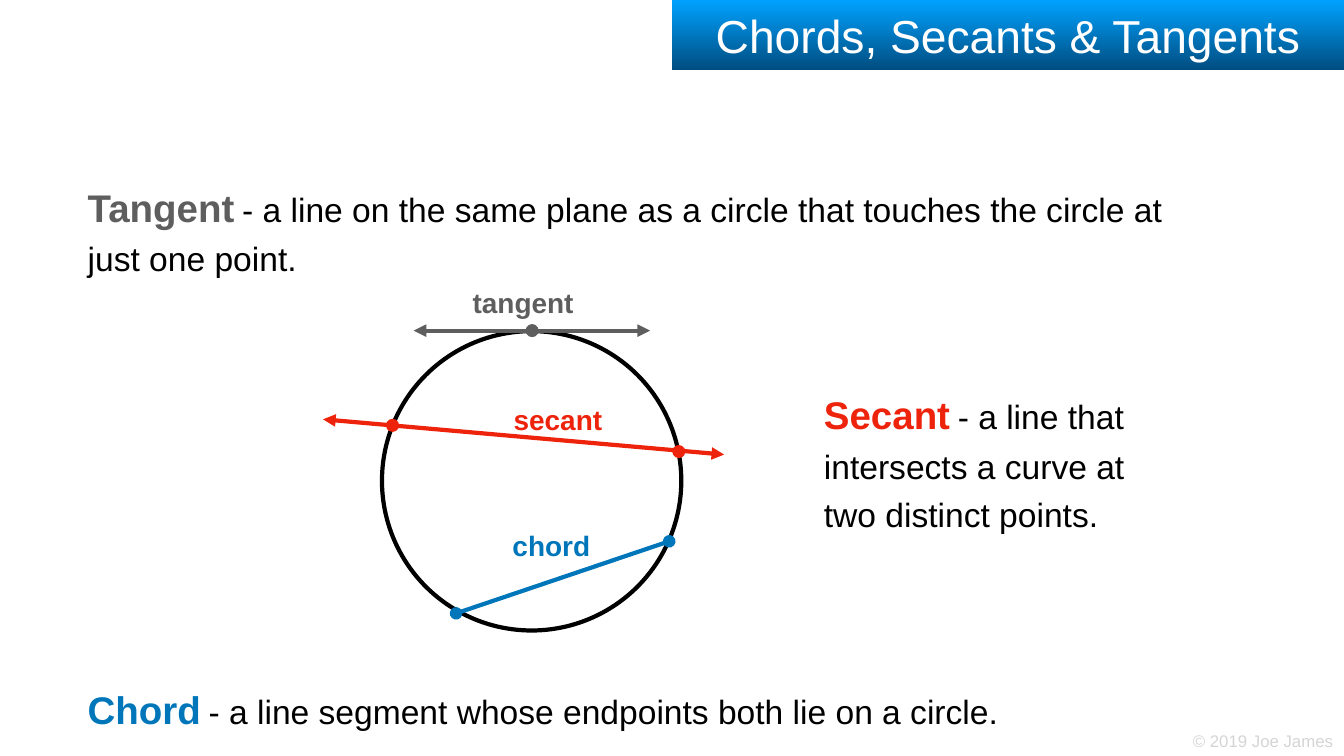
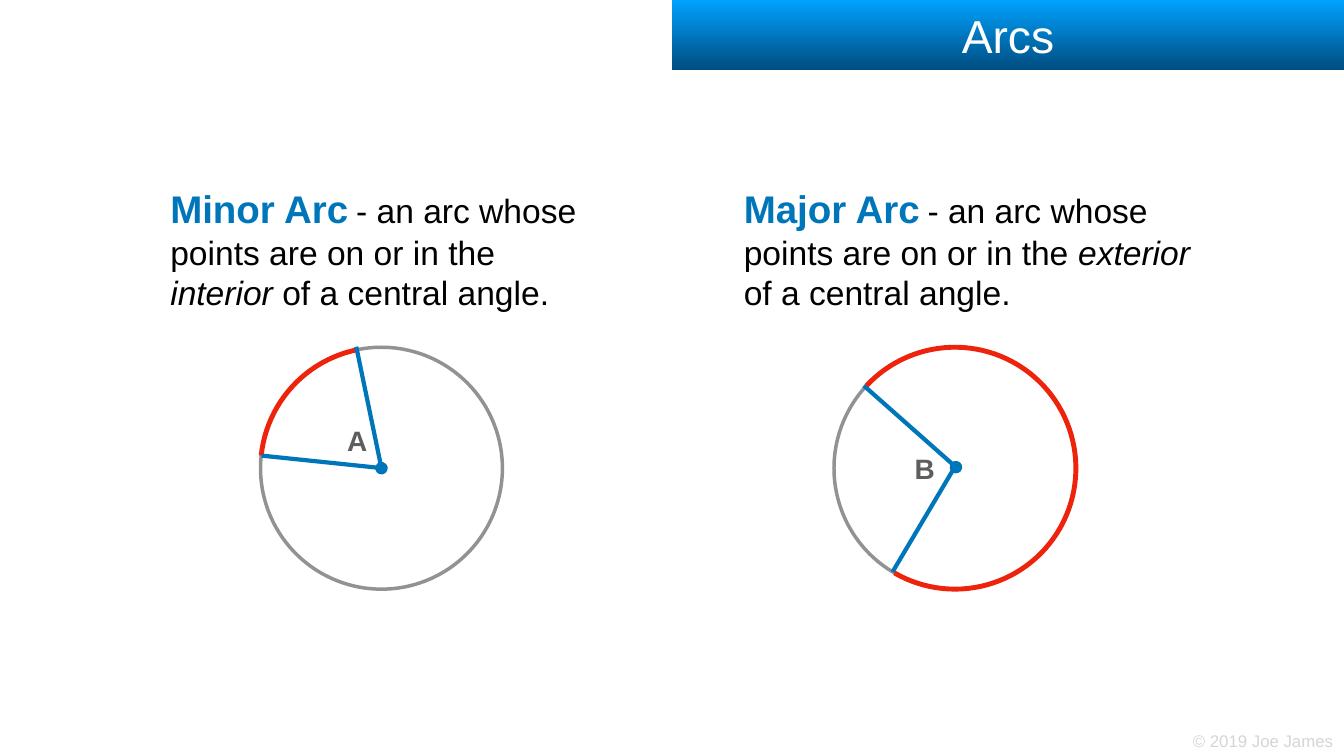
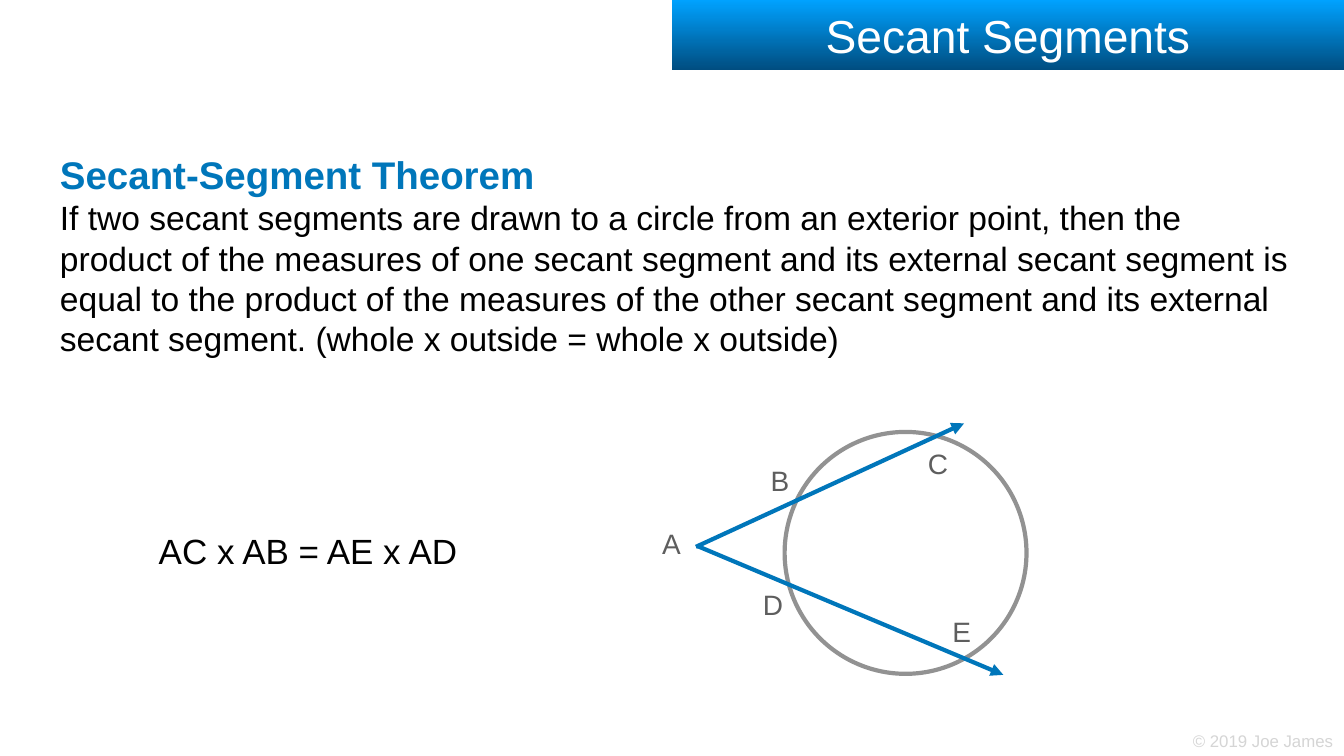
from math import cos, radians, sin

from lxml.etree import SubElement
from pptx import Presentation
from pptx.dml.color import RGBColor
from pptx.enum.shapes import MSO_CONNECTOR, MSO_SHAPE
from pptx.enum.text import MSO_ANCHOR, MSO_AUTO_SIZE, PP_ALIGN
from pptx.oxml.ns import qn
from pptx.util import Inches, Pt

BLACK = RGBColor(0x00, 0x00, 0x00)
WHITE = RGBColor(0xFF, 0xFF, 0xFF)
GRAY = RGBColor(0x5E, 0x5E, 0x5E)
RING = RGBColor(0x92, 0x92, 0x92)
PALE = RGBColor(0xD5, 0xD5, 0xD5)
BLUE = RGBColor(0x00, 0x76, 0xBA)
RED = RGBColor(0xEE, 0x23, 0x0C)
SKY = RGBColor(0x00, 0xA2, 0xFF)
NAVY = RGBColor(0x00, 0x4D, 0x80)

FONT = "Arial"
WIDE, HIGH = 26.67, 15
PAD = Inches(0.06)
DOT = 0.26
MARGINS = {f"margin_{side}": PAD for side in ("left", "top", "right", "bottom")}


def assign(target, values):
    for name, value in values.items():
        setattr(target, name, value)


def put_run(para, text, size, color, **looks):
    run = para.add_run()
    run.text = text
    assign(run.font, {"name": FONT, "size": Pt(size), **looks})
    run.font.color.rgb = color


def text_box(slide, at, wrap=False, anchor=MSO_ANCHOR.TOP, **layout):
    """Add an empty text box and return its first paragraph."""
    frame = slide.shapes.add_textbox(*map(Inches, at)).text_frame
    assign(frame, {**MARGINS, "word_wrap": wrap, "vertical_anchor": anchor,
                   "auto_size": MSO_AUTO_SIZE.SHAPE_TO_FIT_TEXT})
    para = frame.paragraphs[0]
    assign(para, layout)
    return para


def label(slide, text, at, color=GRAY, bold=False):
    para = text_box(slide, at, anchor=MSO_ANCHOR.MIDDLE,
                    alignment=PP_ALIGN.CENTER)
    put_run(para, text, 40, color, bold=bold)


def define(slide, term, color, at, *parts, **layout):
    """Write a bold term and its meaning; every second part is in italics."""
    para = text_box(slide, at, wrap=True, **layout)
    put_run(para, term, 55, color, bold=True)
    put_run(para, " ", 40, BLACK)
    for index, part in enumerate(parts):
        put_run(para, part, 48, BLACK, italic=index % 2 == 1)


def circle(slide, mid, radius, fill=None, edge=None, width=0):
    x, y = mid
    shape = slide.shapes.add_shape(
        MSO_SHAPE.OVAL, Inches(x - radius), Inches(y - radius),
        Inches(2 * radius), Inches(2 * radius))
    shape.shadow.inherit = False
    if fill is None:
        shape.fill.background()
    else:
        shape.fill.solid()
        shape.fill.fore_color.rgb = fill
    if edge is None:
        shape.line.fill.background()
    else:
        shape.line.color.rgb = edge
        shape.line.width = Pt(width)


def dot(slide, mid, color):
    circle(slide, mid, DOT / 2, color)


def segment(slide, start, end, color, head=None, tail=None):
    line = slide.shapes.add_connector(
        MSO_CONNECTOR.STRAIGHT, *map(Inches, (*start, *end)))
    line.line.color.rgb = color
    line.line.width = Pt(6)
    props = line.line._get_or_add_ln()
    for tag, kind in (("a:headEnd", head), ("a:tailEnd", tail)):
        if kind:
            SubElement(props, qn(tag), type=kind)
    SubElement(line._element.spPr, qn("a:effectLst"))


def arc(slide, mid, radius, start, end):
    """Draw a red arc clockwise between two angles, counted from the right."""
    steps = (end - start) // 3
    turns = [radians(start + (end - start) * i / steps)
             for i in range(steps + 1)]
    points = [(Inches(mid[0] + radius * cos(turn)),
               Inches(mid[1] + radius * sin(turn))) for turn in turns]
    pen = slide.shapes.build_freeform(*points[0])
    pen.add_line_segments(points[1:], close=False)
    shape = pen.convert_to_shape()
    shape.shadow.inherit = False
    shape.fill.background()
    shape.line.color.rgb = RED
    shape.line.width = Pt(7)


def new_slide(deck, title):
    """Add a slide with the copyright line and the title band."""
    slide = deck.slides.add_slide(deck.slide_layouts[6])
    para = text_box(slide, (23.61, 14.45, 2.91, 0.49),
                    anchor=MSO_ANCHOR.MIDDLE)
    put_run(para, "© 2019 Joe James", 24, PALE)
    band = slide.shapes.add_shape(
        MSO_SHAPE.RECTANGLE, Inches(WIDE / 2), 0, Inches(WIDE / 2),
        Inches(1.39))
    band.shadow.inherit = False
    band.line.fill.background()
    band.fill.gradient()
    band.fill.gradient_angle = 270
    for stop, color in zip(band.fill.gradient_stops, (SKY, NAVY)):
        stop.color.rgb = color
    frame = band.text_frame
    assign(frame, {**MARGINS, "word_wrap": True,
                   "vertical_anchor": MSO_ANCHOR.MIDDLE})
    para = frame.paragraphs[0]
    para.alignment = PP_ALIGN.CENTER
    put_run(para, title, 66, WHITE)
    return slide


def chords(deck):
    slide = new_slide(deck, "Chords, Secants & Tangents")
    define(slide, "Tangent", GRAY, (1.68, 3.4, 21.5, 2.01),
           "- a line on the same plane as a circle that touches "
           "the circle at just one point.", line_spacing=1.2)
    circle(slide, (10.55, 9.54), 2.97, WHITE, BLACK, 6)
    segment(slide, (9.05, 12.17), (13.28, 10.74), BLUE, "oval", "oval")
    label(slide, "chord", (10.04, 10.42, 1.8, 0.78), BLUE, True)
    for start, end, color in (((8.21, 6.56), (12.9, 6.56), GRAY),
                              ((6.41, 8.32), (14.37, 9.02), RED)):
        segment(slide, start, end, color, "triangle", "triangle")
    dot(slide, (10.56, 6.56), GRAY)
    dot(slide, (13.47, 8.96), RED)
    dot(slide, (7.79, 8.44), RED)
    label(slide, "secant", (10.07, 7.92, 2, 0.78), RED, True)
    label(slide, "tangent", (9.26, 5.6, 2.24, 0.78), GRAY, True)
    define(slide, "Secant", RED, (16.29, 7.52, 7.18, 2.96),
           "- a line that intersects a curve at two distinct points.",
           line_spacing=1.2)
    define(slide, "Chord", BLUE, (1.68, 13.37, 22.97, 1.03),
           "- a line segment whose endpoints both lie on a circle.",
           line_spacing=1.2)


def arcs(deck):
    slide = new_slide(deck, "Arcs")
    radius = 2.4
    minor, major = (7.57, 9.29), (18.95, 9.29)
    for mid in (major, minor):
        circle(slide, mid, radius, WHITE, RING, 5)
    label(slide, "A", (6.83, 8.35, 0.51, 0.78), GRAY, True)
    segment(slide, (18.97, 9.27), (17.14, 7.65), BLUE, "oval")
    label(slide, "B", (18.09, 8.9, 0.52, 0.78), GRAY, True)
    segment(slide, (18.98, 9.21), (17.71, 11.35), BLUE)
    arc(slide, minor, radius, 186, 259)
    arc(slide, major, radius, 223, 480)
    segment(slide, minor, (7.07, 6.88), BLUE, "oval")
    segment(slide, (7.5, 9.28), (5.19, 9.04), BLUE)
    for term, side, at in (
            ("Minor Arc", "interior", (3.32, 3.62, 8.73, 2.62)),
            ("Major Arc", "exterior", (14.7, 3.62, 9.03, 3.46))):
        define(slide, term, BLUE, at,
               "- an arc whose points are on or in the ", side,
               " of a central angle.")


def secants(deck):
    slide = new_slide(deck, "Secant Segments")
    para = text_box(slide, (1.13, 2.94, 24.7, 4.2), wrap=True)
    put_run(para, "Secant-Segment Theorem", 55, BLUE, bold=True)
    para.add_line_break()
    put_run(para, "If two secant segments are drawn to a circle from an "
            "exterior point, then the product of the measures of one secant "
            "segment and its external secant segment is equal to the product "
            "of the measures of the other secant segment and its external "
            "secant segment. (whole x outside = whole x outside)", 48, BLACK)
    circle(slide, (17.97, 10.97), 2.4, edge=RING, width=6)
    segment(slide, (13.81, 10.85), (19.13, 8.4), BLUE, tail="triangle")
    segment(slide, (13.83, 10.83), (19.91, 13.39), BLUE, tail="triangle")
    for name, left, top, width in (
            ("A", 13.08, 10.41, 0.49), ("B", 15.22, 9.15, 0.51),
            ("C", 18.35, 8.82, 0.53), ("D", 15.08, 11.62, 0.52),
            ("E", 18.84, 12.14, 0.46)):
        label(slide, name, (left, top, width, 0.76))
    para = text_box(slide, (3.09, 10.44, 6.11, 0.93))
    put_run(para, "AC x AB = AE x AD", 50, BLACK)


def main():
    deck = Presentation()
    assign(deck, {"slide_width": Inches(WIDE), "slide_height": Inches(HIGH)})
    for build in (chords, arcs, secants):
        build(deck)
    deck.save("out.pptx")


if __name__ == "__main__":
    main()
